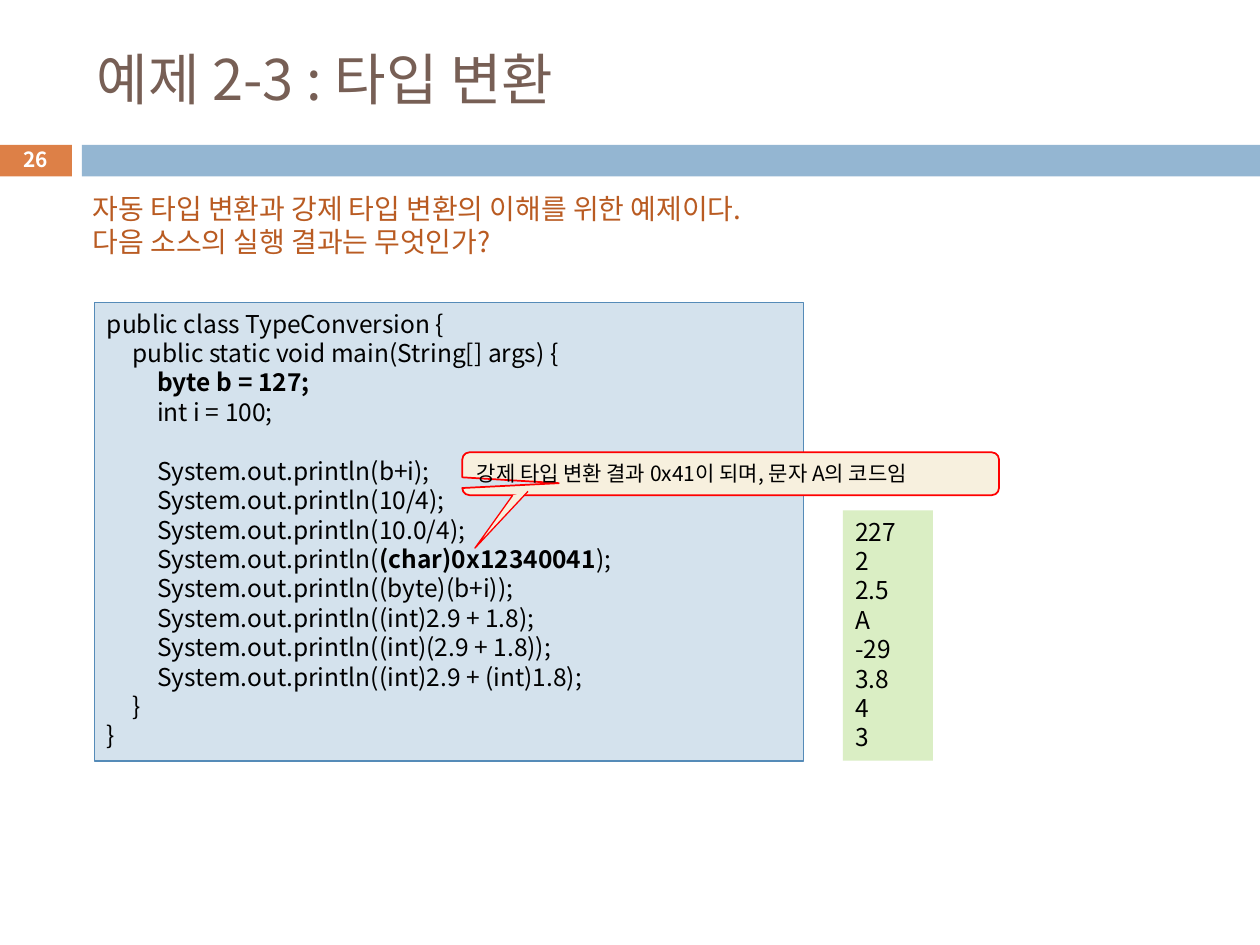
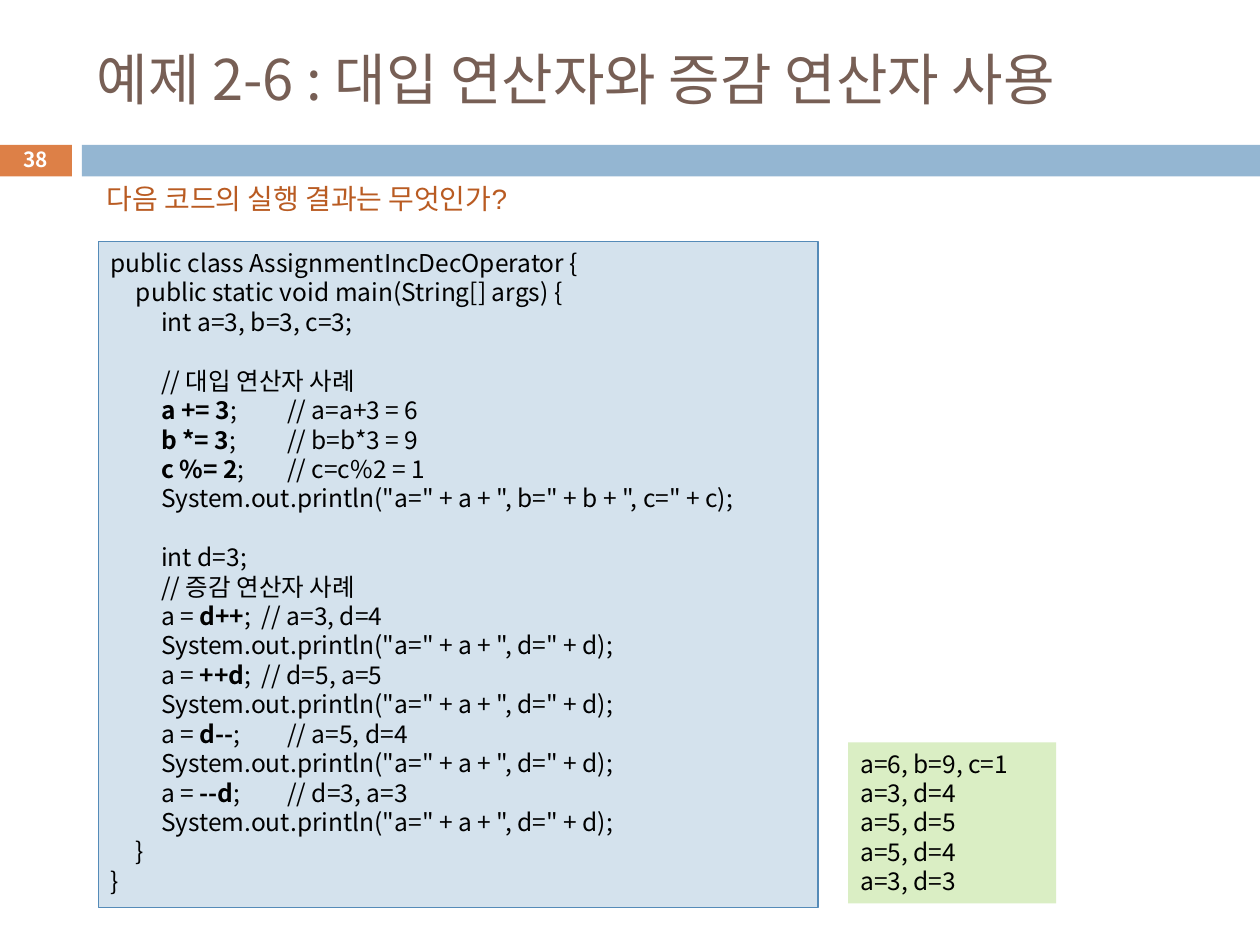
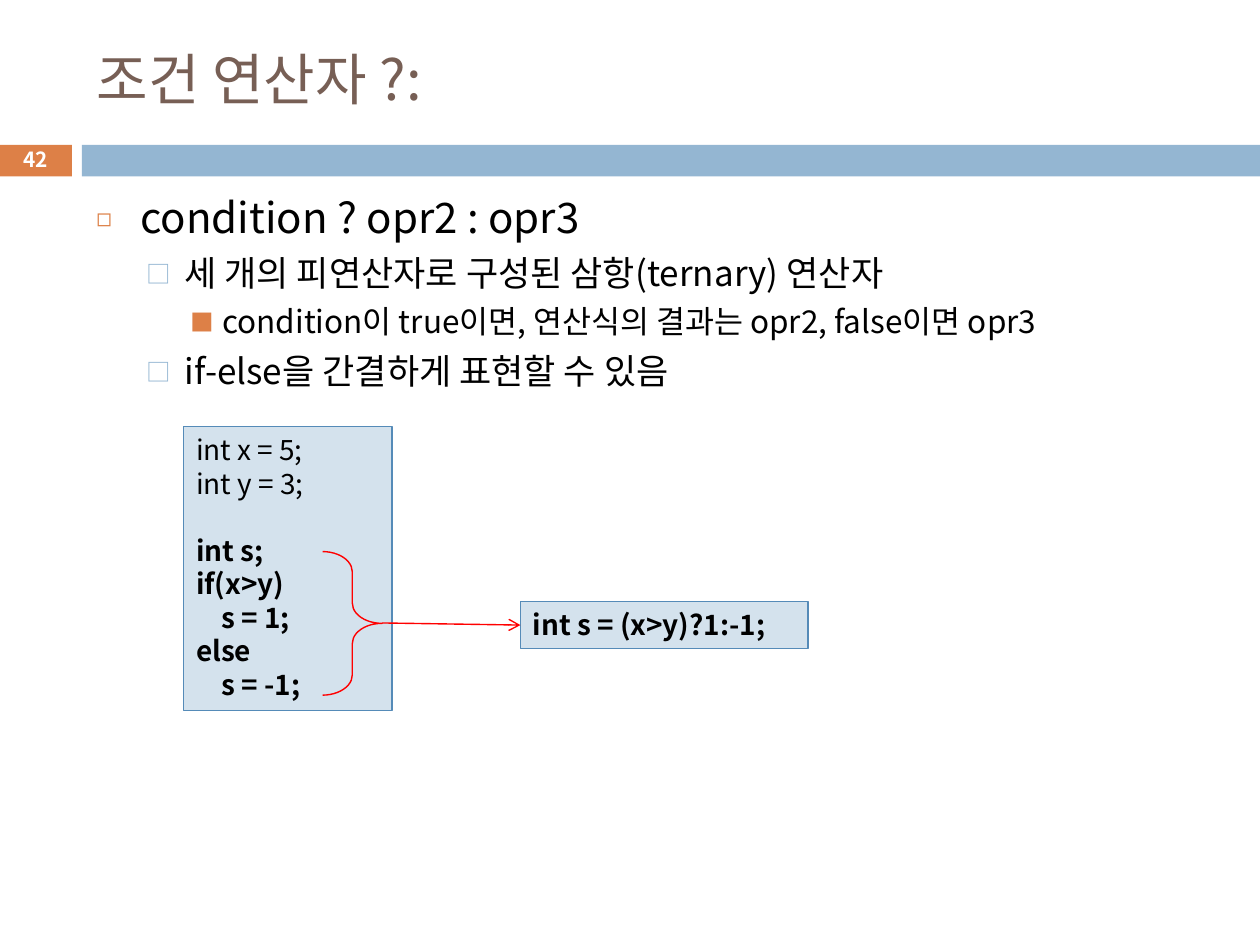
from lxml import etree
from pptx import Presentation
from pptx.dml.color import RGBColor
from pptx.enum import shapes, text
from pptx.oxml import ns
from pptx.util import Pt

FONT = "Noto Sans CJK KR"
COLORS = dict(
    title="775F55", orange="DD8047", blue="94B6D2", question="B95B22",
    code="D4E2ED", code_line="558BB8", output="DAEEC4", callout="F7F0DE",
    red="FF0000", black="000000", white="FFFFFF",
)
LINE_HEIGHT = 1.2
TAB = 14.4
TAB_COUNT = 7

CONVERSION = dict(
    number="26",
    title="예제 2-3 : 타입 변환",
    question=["자동 타입 변환과 강제 타입 변환의 이해를 위한 예제이다.",
              "다음 소스의 실행 결과는 무엇인가?"],
    question_box=(46, 105.8, 435, 46),
    question_font=FONT,
    code=[
        "public class TypeConversion {",
        "\tpublic static void main(String[] args) {",
        "\t\t**byte b = 127;**",
        "\t\tint i = 100;",
        "",
        "\t\tSystem.out.println(b+i);",
        "\t\tSystem.out.println(10/4);",
        "\t\tSystem.out.println(10.0/4);",
        "\t\tSystem.out.println(**(char)0x12340041**);",
        "\t\tSystem.out.println((byte)(b+i));",
        "\t\tSystem.out.println((int)2.9 + 1.8);",
        "\t\tSystem.out.println((int)(2.9 + 1.8));",
        "\t\tSystem.out.println((int)2.9 + (int)1.8);",
        "\t}",
        "}",
    ],
    code_box=(54, 172.8, 405, 262),
    output=["227", "2", "2.5", "A", "-29", "3.8", "4", "3"],
    output_box=(481.6, 291.6, 51.6, 143),
)
CALLOUT = "강제 타입 변환 결과 0x41이 되며, 문자 A의 코드임"
CALLOUT_BOX = (264.2, 258.5, 306.7, 24.5)
CALLOUT_TAIL = [(293, 283), (271.4, 313.2), (301.7, 280.8)]

PRINT_AD = '\t\tSystem.out.println("a=" + a + ", d=" + d);'
ASSIGNMENT = dict(
    number="38",
    title="예제 2-6 : 대입 연산자와 증감 연산자 사용",
    question=["다음 코드의 실행 결과는 무엇인가?"],
    question_box=(54, 100, 271, 26.6),
    question_font="Arial",
    code=[
        "public class AssignmentIncDecOperator {",
        "\tpublic static void main(String[] args) {",
        "\t\tint a=3, b=3, c=3;",
        "",
        "\t\t// 대입 연산자 사례",
        "\t\t**a += 3**; \t\t// a=a+3 = 6",
        "\t\t**b *= 3**; \t\t// b=b*3 = 9",
        "\t\t**c %= 2**; \t\t// c=c%2 = 1",
        '\t\tSystem.out.println("a=" + a + ", b=" + b + ", c=" + c);',
        "",
        "\t\tint d=3;",
        "\t\t// 증감 연산자 사례",
        "\t\ta = **d++**; \t// a=3, d=4",
        PRINT_AD,
        "\t\ta = **++d**; \t// d=5, a=5",
        PRINT_AD,
        "\t\ta = **d--**; \t\t// a=5, d=4",
        PRINT_AD,
        "\t\ta = **--d**; \t\t// d=3, a=3",
        PRINT_AD,
        "\t}",
        "}",
    ],
    code_box=(56.2, 138.2, 411.2, 380.2),
    output=["a=6, b=9, c=1", "a=3, d=4", "a=5, d=5", "a=5, d=4", "a=3, d=3"],
    output_box=(484.6, 424.2, 119, 92),
)

CONDITION_TITLE = "조건 연산자 ?:"
CONDITION_POINTS = [
    (0, "condition ? opr2 : opr3"),
    (1, "세 개의 피연산자로 구성된 삼항(ternary) 연산자"),
    (2, "condition이 true이면, 연산식의 결과는 opr2, false이면 opr3"),
    (1, "if-else을 간결하게 표현할 수 있음"),
]
LEVELS = [
    dict(size=24, margin=25.2, hang=25.2, before=7, char="◻", color="orange", scale=60),
    dict(size=20, margin=50.4, hang=21.6, before=5.5, char="□", color="blue", scale=70),
    dict(size=18, margin=72, hang=18, before=5, char="■", color="orange", scale=75),
]
IF_ELSE = ["int x = 5;", "int y = 3;", "", "**int s;**", "**if(x>y)**",
           "**\ts = 1;**", "**else**", "**\ts = -1;**"]
TERNARY = ["**int s = (x>y)?1:-1;**"]


def rgb(name):
    return RGBColor.from_string(COLORS[name])


def child(parent, tag, **attrs):
    return etree.SubElement(parent, ns.qn(tag), {k: str(v) for k, v in attrs.items()})


def add_bullet(p, level):
    pPr = p._p.get_or_add_pPr()
    pPr.set("marL", str(Pt(level["margin"])))
    pPr.set("indent", str(-Pt(level["hang"])))
    child(child(pPr, "a:buClr"), "a:srgbClr", val=COLORS[level["color"]])
    child(pPr, "a:buSzPct", val=level["scale"] * 1000)
    child(pPr, "a:buFont", typeface=FONT)
    child(pPr, "a:buChar", char=level["char"])


def add_tabs(p):
    tabs = child(p._p.get_or_add_pPr(), "a:tabLst")
    for i in range(1, TAB_COUNT + 1):
        child(tabs, "a:tab", pos=Pt(TAB * i), algn="l")


def write(sp, lines, size=14, color="black", font=FONT, bold=False, center=False,
          middle=False, wrap=True, tabs=False, fixed=True, levels=None):
    tf = sp.text_frame
    tf.word_wrap = wrap
    tf.auto_size = text.MSO_AUTO_SIZE.NONE
    tf.vertical_anchor = text.MSO_ANCHOR.MIDDLE if middle else text.MSO_ANCHOR.TOP
    for i, line in enumerate(lines):
        p = tf.paragraphs[0] if i == 0 else tf.add_paragraph()
        level = LEVELS[levels[i]] if levels else None
        points = level["size"] if level else size
        if level:
            p.level = levels[i]
            add_bullet(p, level)
        if tabs:
            add_tabs(p)
        p.alignment = text.PP_ALIGN.CENTER if center else text.PP_ALIGN.LEFT
        p.space_before = Pt(level["before"] if level and i else 0)
        if fixed:
            p.line_spacing = Pt(round(points * LINE_HEIGHT, 1))
        p.font.size = Pt(points)
        for j, part in enumerate(line.split("**")):
            if not part:
                continue
            r = p.add_run()
            r.text = part
            r.font.size = Pt(points)
            r.font.bold = bold or j % 2 == 1
            r.font.name = font
            r.font.color.rgb = rgb(color)
            child(r._r.get_or_add_rPr(), "a:ea", typeface=FONT)


def style(sp, fill=None, line=None, width=0.75):
    sp.shadow.inherit = False
    if fill:
        sp.fill.solid()
        sp.fill.fore_color.rgb = rgb(fill)
    else:
        sp.fill.background()
    if line:
        sp.line.color.rgb = rgb(line)
        sp.line.width = Pt(width)
    else:
        sp.line.fill.background()
    return sp


def add_shape(s, box, kind=shapes.MSO_SHAPE.RECTANGLE, **look):
    return style(s.shapes.add_shape(kind, *map(Pt, box)), **look)


def add_text(s, box, lines, **fmt):
    write(s.shapes.add_textbox(*map(Pt, box)), lines, **fmt)


def add_code(s, box, lines, size=14):
    write(add_shape(s, box, fill="code", line="code_line"), lines, size=size, tabs=True)


def add_slide(prs, title, number):
    s = prs.slides.add_slide(prs.slide_layouts[5])
    add_shape(s, (-0.7, 82.8, 41.8, 18), fill="orange")
    add_shape(s, (46.8, 82.8, 673.2, 18), fill="blue")
    sp = s.shapes.title
    sp.left, sp.top, sp.width, sp.height = map(Pt, (48, 18, 642, 53.3))
    write(sp, [title], size=32, color="title", middle=True, fixed=False)
    add_text(s, (-0.7, 81.4, 41.8, 19.4), [number], size=11.9, color="white",
             bold=True, center=True, middle=True, fixed=False)
    return s


def add_example(prs, example):
    s = add_slide(prs, example["title"], example["number"])
    add_text(s, example["question_box"], example["question"], size=16,
             color="question", font=example["question_font"], wrap=False)
    add_code(s, example["code_box"], example["code"])
    write(add_shape(s, example["output_box"], fill="output"), example["output"])
    return s


def add_callout(s):
    sp = add_shape(s, CALLOUT_BOX, shapes.MSO_SHAPE.ROUNDED_RECTANGULAR_CALLOUT,
                   fill="callout", line="red", width=1)
    for i, value in enumerate((-0.32, 0.22, 0.17)):
        sp.adjustments[i] = value
    write(sp, [CALLOUT], size=12, fixed=False)
    start, *rest = [(Pt(x), Pt(y)) for x, y in CALLOUT_TAIL]
    tail = s.shapes.build_freeform(*start)
    tail.add_line_segments(rest, close=False)
    style(tail.convert_to_shape(), fill="callout", line="red")


def add_condition(prs):
    s = add_slide(prs, CONDITION_TITLE, "42")
    levels, lines = zip(*CONDITION_POINTS)
    add_text(s, (48, 105.8, 642, 396.7), lines, levels=levels)
    add_code(s, (105, 243.6, 119, 162.5), IF_ELSE, size=16)
    add_code(s, (297.4, 343.8, 164.4, 26.8), TERNARY, size=16)
    brace = add_shape(s, (184.3, 315.2, 34, 82), shapes.MSO_SHAPE.LEFT_BRACE,
                      line="red", width=0.79)
    brace.rotation = 180
    brace.adjustments[0] = 0.34
    arrow = s.shapes.add_connector(shapes.MSO_CONNECTOR.STRAIGHT,
                                   *map(Pt, (218.3, 356, 297.4, 357.2)))
    arrow.line.color.rgb = rgb("red")
    arrow.line.width = Pt(0.79)
    child(arrow.line._get_or_add_ln(), "a:tailEnd", type="arrow")
    child(arrow._element.spPr, "a:effectLst")


def main():
    prs = Presentation()
    prs.slide_width, prs.slide_height = Pt(720), Pt(540)
    add_callout(add_example(prs, CONVERSION))
    add_example(prs, ASSIGNMENT)
    add_condition(prs)
    prs.save("out.pptx")


if __name__ == "__main__":
    main()
